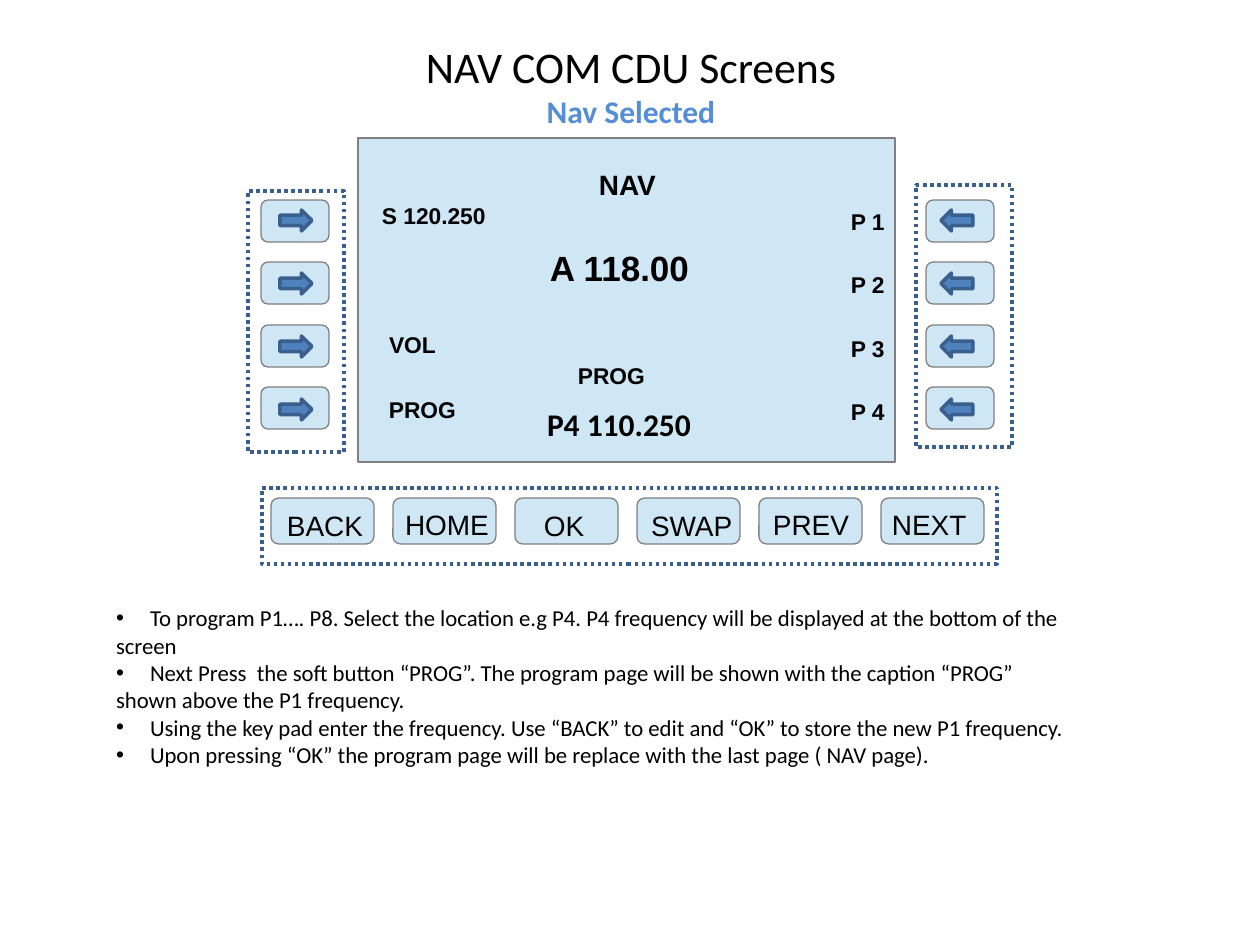
from lxml.etree import SubElement
from pptx import Presentation
from pptx.dml.color import RGBColor
from pptx.enum.dml import MSO_LINE
from pptx.enum.shapes import MSO_SHAPE
from pptx.enum.text import MSO_ANCHOR, PP_ALIGN
from pptx.oxml.ns import qn
from pptx.util import Emu, Pt

BLACK = RGBColor(0x00, 0x00, 0x00)
HEADING_BLUE = RGBColor(0x55, 0x8E, 0xD5)
PANEL_BLUE = RGBColor(0xCF, 0xE7, 0xF5)
PANEL_LINE = RGBColor(0x80, 0x80, 0x80)
ARROW_BLUE = RGBColor(0x4F, 0x81, 0xBD)
DARK_BLUE = RGBColor(0x3A, 0x5F, 0x8C)

KEY_LABELS = [
    ("BACK", 276, 504, 99),
    ("HOME", 394, 503, 107),
    ("OK", 533, 504, 63),
    ("SWAP", 640, 504, 105),
    ("PREV", 762, 503, 99),
    ("NEXT", 881, 502, 98),
]
SCREEN_LABELS = [
    ("NAV", 588, 163, 81, 16),
    ("S 120.250", 371, 197, 127, 13),
    ("A 118.00", 539, 242, 179, 20),
    ("VOL", 378, 326, 71, 13),
    ("PROG", 378, 391, 91, 13),
    ("PROG", 567, 357, 91, 13),
]
INSTRUCTIONS = [
    "To program P1…. P8. Select the location e.g P4. P4 frequency will be displayed at the bottom of the screen",
    "Next Press  the soft button “PROG”. The program page will be shown with the caption “PROG” shown above the P1 frequency.",
    "Using the key pad enter the frequency. Use “BACK” to edit and “OK” to store the new P1 frequency.",
    "Upon pressing “OK” the program page will be replace with the last page ( NAV page).",
]


def px(length):
    return Emu(round(length * 914400 / 126))


def add_shape(slide, kind, box, fill, line, line_width):
    shape = slide.shapes.add_shape(kind, *map(px, box))
    shape.shadow.inherit = False
    if fill is None:
        shape.fill.background()
    else:
        shape.fill.solid()
        shape.fill.fore_color.rgb = fill
    shape.line.color.rgb = line
    shape.line.width = Pt(line_width)
    return shape


def add_panel(slide, kind, box):
    add_shape(slide, kind, box, PANEL_BLUE, PANEL_LINE, 0)


def add_dotted_frame(slide, box):
    frame = add_shape(slide, MSO_SHAPE.RECTANGLE, box, None, DARK_BLUE, 2)
    frame.line.dash_style = MSO_LINE.ROUND_DOT


def add_text_frame(slide, box, wrap):
    text_frame = slide.shapes.add_textbox(*map(px, box)).text_frame
    text_frame.word_wrap = wrap
    text_frame.vertical_anchor = MSO_ANCHOR.TOP
    text_frame.margin_left = text_frame.margin_right = px(11)
    text_frame.margin_top = text_frame.margin_bottom = px(5)
    return text_frame


def format_paragraph(paragraph, size, font_name, color=BLACK, bold=False):
    for run in paragraph.runs:
        run.font.size = Pt(size)
        run.font.name = font_name
        run.font.color.rgb = color
        run.font.bold = bold


def add_label(slide, text, box, size, font_name="Arial", bold=True):
    text_frame = add_text_frame(slide, box, False)
    text_frame.text = text
    format_paragraph(text_frame.paragraphs[0], size, font_name, bold=bold)


def add_heading(slide):
    text_frame = add_text_frame(slide, (64, 35, 1134, 102), True)
    text_frame.text = "NAV COM CDU Screens\nNav Selected"
    title, subtitle = text_frame.paragraphs
    title.alignment = subtitle.alignment = PP_ALIGN.CENTER
    format_paragraph(title, 25, "Calibri")
    format_paragraph(subtitle, 18, "Calibri", HEADING_BLUE, True)


def add_side_keys(slide, left, arrow_kind, arrow_left):
    for row in range(4):
        top = 200 + row * 125 // 2
        add_panel(slide, MSO_SHAPE.ROUNDED_RECTANGLE, (left, top, 68, 42))
        arrow_box = (arrow_left, 210 + row * 63, 32, 21)
        add_shape(slide, arrow_kind, arrow_box, ARROW_BLUE, DARK_BLUE, 2)


def add_bottom_keys(slide):
    for column, (text, left, top, width) in enumerate(KEY_LABELS):
        key_box = (271 + column * 122, 498, 103, 46)
        add_panel(slide, MSO_SHAPE.ROUNDED_RECTANGLE, key_box)
        add_label(slide, text, (left, top, width, 44), 16, bold=False)


def add_screen(slide):
    add_panel(slide, MSO_SHAPE.RECTANGLE, (358, 138, 537, 324))
    for text, left, top, width, size in SCREEN_LABELS:
        add_label(slide, text, (left, top, width, 38), size)
    add_label(slide, "P4 110.250", (536, 400, 170, 50), 18, "Calibri")
    for row in range(4):
        add_label(slide, f"P {row + 1}", (840, 203 + row * 127 // 2, 57, 38), 13)


def add_bullet(paragraph, text_offset):
    properties = paragraph._p.get_or_add_pPr()
    properties.set("marL", "0")
    properties.set("indent", "0")
    SubElement(properties, qn("a:buFont"), typeface="Arial")
    SubElement(properties, qn("a:buChar"), char="•")
    tab_stops = SubElement(properties, qn("a:tabLst"))
    SubElement(tab_stops, qn("a:tab"), pos=str(px(text_offset)), algn="l")


def add_instructions(slide):
    text_frame = add_text_frame(slide, (105, 599, 979, 204), True)
    text_frame.text = "\n".join("\t" + line for line in INSTRUCTIONS)
    for paragraph in text_frame.paragraphs:
        add_bullet(paragraph, 34)
        format_paragraph(paragraph, 13, "Calibri")


def main():
    presentation = Presentation()
    presentation.slide_width = px(1260)
    presentation.slide_height = px(945)
    slide = presentation.slides.add_slide(presentation.slide_layouts[6])
    add_heading(slide)
    add_screen(slide)
    add_dotted_frame(slide, (248, 191, 96, 261))
    add_dotted_frame(slide, (916, 185, 96, 262))
    add_dotted_frame(slide, (262, 488, 735, 76))
    add_side_keys(slide, 261, MSO_SHAPE.RIGHT_ARROW, 280)
    add_side_keys(slide, 926, MSO_SHAPE.LEFT_ARROW, 941)
    add_bottom_keys(slide)
    add_instructions(slide)
    presentation.save("out.pptx")


if __name__ == "__main__":
    main()
